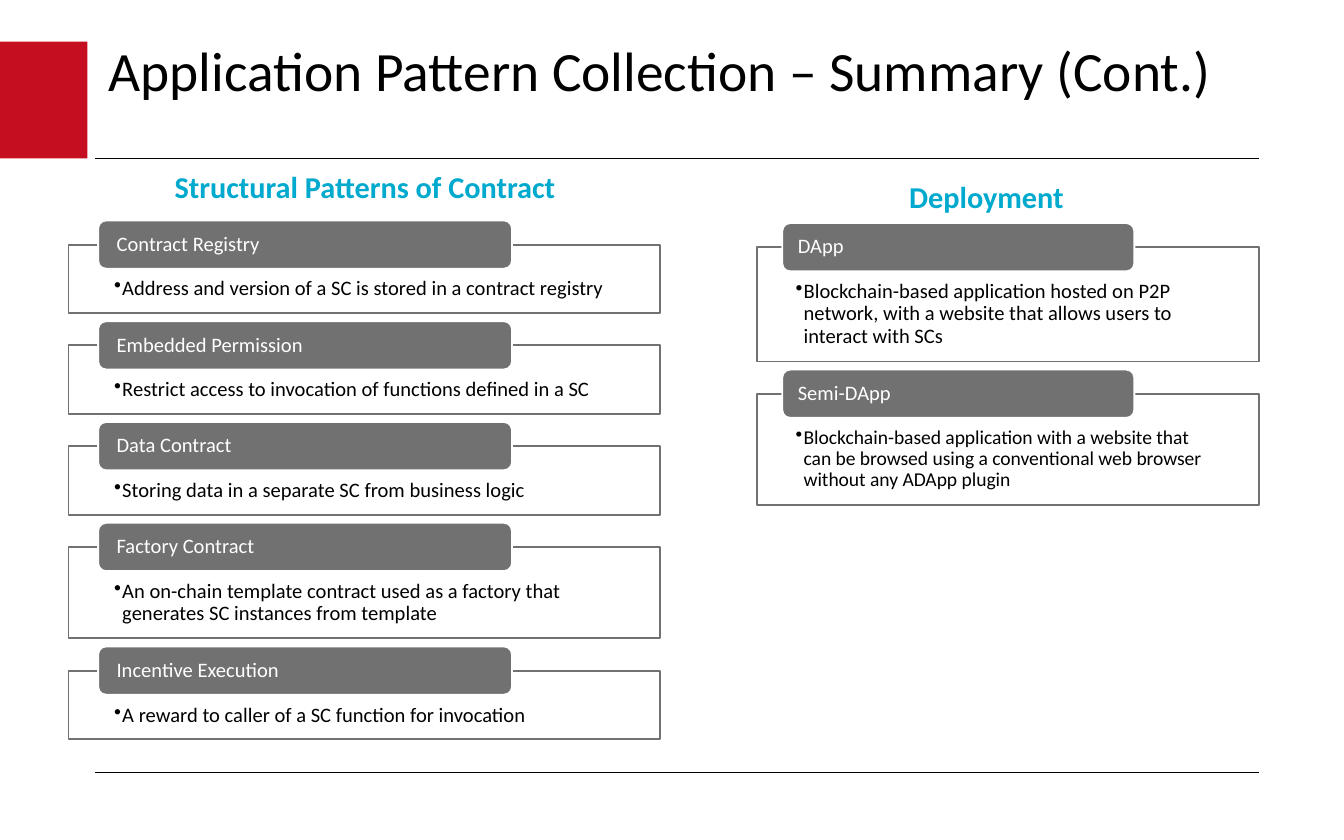
"""Build the summary slide of application patterns for smart contracts."""
from dataclasses import dataclass

from lxml.etree import SubElement
from pptx import Presentation
from pptx.dml.color import RGBColor
from pptx.enum.shapes import MSO_CONNECTOR, MSO_SHAPE
from pptx.enum.text import MSO_ANCHOR, PP_ALIGN
from pptx.oxml.ns import qn
from pptx.shapes.autoshape import Shape
from pptx.slide import Slide
from pptx.util import Inches, Pt

COLORS = {
    "accent": "C50E1F",
    "heading": "00A9CE",
    "label": "717171",
    "text": "000000",
    "white": "FFFFFF",
}
FONT = "Calibri"
CARD_GAP = 0.24
LABEL_HEIGHT = 0.36
LABEL_RISE = 0.18


@dataclass(frozen=True)
class Pattern:
    name: str
    summary: str
    height: float = 0.51
    size: float = 11


@dataclass(frozen=True)
class Column:
    heading: str
    heading_area: tuple[float, float, float, float]
    left: float
    top: float
    width: float
    label_left: float
    label_width: float
    label_inset: float
    summary_inset: float
    patterns: tuple[Pattern, ...]


COLUMNS = (
    Column(
        "Structural Patterns of Contract", (0.52, 1.2, 4.39, 0.37),
        0.51, 1.82, 4.4, 0.73, 3.08, 0.12, 0.34,
        (
            Pattern("Contract Registry",
                    "Address and version of a SC is stored in a contract registry"),
            Pattern("Embedded Permission",
                    "Restrict access to invocation of functions defined in a SC"),
            Pattern("Data Contract",
                    "Storing data in a separate SC from business logic"),
            Pattern("Factory Contract",
                    "An on-chain template contract used as a factory that "
                    "generates SC instances from template", 0.68),
            Pattern("Incentive Execution",
                    "A reward to caller of a SC function for invocation"),
        ),
    ),
    Column(
        "Deployment", (5.46, 1.28, 3.76, 0.37),
        5.63, 1.84, 3.74, 5.82, 2.62, 0.1, 0.29,
        (
            Pattern("DApp",
                    "Blockchain-based application hosted on P2P network, with a "
                    "website that allows users to interact with SCs", 0.85),
            Pattern("Semi-DApp",
                    "Blockchain-based application with a website that can be browsed "
                    "using a conventional web browser without any ADApp plugin",
                    0.83, 10.5),
        ),
    ),
)


def color(name: str) -> RGBColor:
    """Return the named colour."""
    return RGBColor.from_string(COLORS[name])


def write_text(box: Shape, text: str, size: float, color_name: str,
               anchor: MSO_ANCHOR = MSO_ANCHOR.TOP,
               align: PP_ALIGN = PP_ALIGN.LEFT,
               spacing: float = 0.9, bold: bool = False) -> None:
    """Write one styled paragraph into a box."""
    frame = box.text_frame
    frame.word_wrap = True
    frame.vertical_anchor = anchor
    para = frame.paragraphs[0]
    para.text = text
    para.alignment = align
    para.line_spacing = spacing
    para.font.name = FONT
    para.font.size = Pt(size)
    para.font.bold = bold
    para.font.color.rgb = color(color_name)


def set_insets(box: Shape, side: float, top: float, bottom: float) -> None:
    """Set the inner margins of a box in inches."""
    frame = box.text_frame
    frame.margin_left = frame.margin_right = Inches(side)
    frame.margin_top = Inches(top)
    frame.margin_bottom = Inches(bottom)


def add_text(page: Slide, area: tuple[float, float, float, float]) -> Shape:
    """Add an empty text box."""
    return page.shapes.add_textbox(*map(Inches, area))


def add_block(page: Slide, kind: MSO_SHAPE, area: tuple[float, float, float, float],
              fill: str, line: str | None = None) -> Shape:
    """Add a flat filled shape with an optional outline."""
    block = page.shapes.add_shape(kind, *map(Inches, area))
    block.shadow.inherit = False
    block.fill.solid()
    block.fill.fore_color.rgb = color(fill)
    if line:
        block.line.color.rgb = color(line)
        block.line.width = Pt(1)
    else:
        block.line.fill.background()
    return block


def add_rule(page: Slide, top: float) -> None:
    """Add a thin horizontal line across the page."""
    rule = page.shapes.add_connector(
        MSO_CONNECTOR.STRAIGHT, Inches(0.71), Inches(top), Inches(9.37), Inches(top))
    rule.line.color.rgb = color("text")
    rule.line.width = Pt(0.75)
    SubElement(rule._element.spPr, qn("a:effectLst"))


def add_bullet(box: Shape) -> None:
    """Give the first paragraph a hanging bullet."""
    properties = box.text_frame.paragraphs[0]._p.get_or_add_pPr()
    properties.set("marL", str(Inches(0.06)))
    properties.set("indent", str(Inches(-0.06)))
    SubElement(properties, qn("a:buChar"), char="•")
    defaults = properties.find(qn("a:defRPr"))
    if defaults is not None:
        properties.append(defaults)


def add_card(page: Slide, column: Column, pattern: Pattern, top: float) -> None:
    """Add a summary frame with its label on the upper edge."""
    frame = add_block(page, MSO_SHAPE.RECTANGLE,
                      (column.left, top, column.width, pattern.height),
                      "white", "label")
    fill_color = frame._element.spPr.find(qn("a:solidFill"))[0]
    SubElement(fill_color, qn("a:alpha"), val="90000")
    set_insets(frame, column.summary_inset, 0.25, 0.09)
    write_text(frame, pattern.summary, pattern.size, "text")
    add_bullet(frame)

    label = add_block(page, MSO_SHAPE.ROUNDED_RECTANGLE,
                      (column.label_left, top - LABEL_RISE,
                       column.label_width, LABEL_HEIGHT), "label", "white")
    set_insets(label, column.label_inset, 0, 0)
    write_text(label, pattern.name, 11, "white", MSO_ANCHOR.MIDDLE)


def add_column(page: Slide, column: Column) -> None:
    """Add a heading and its stack of cards."""
    top = column.top
    for pattern in column.patterns:
        add_card(page, column, pattern, top)
        top += pattern.height + CARD_GAP
    write_text(add_text(page, column.heading_area), column.heading, 16.2, "heading",
               align=PP_ALIGN.CENTER, spacing=1.0, bold=True)


def main() -> None:
    """Create and save the deck."""
    deck = Presentation()
    deck.slide_width, deck.slide_height = Inches(10), Inches(6.25)
    page = deck.slides.add_slide(deck.slide_layouts[6])
    add_block(page, MSO_SHAPE.RECTANGLE, (0, 0.31, 0.65, 0.87), "accent")
    for top in (1.18, 5.75):
        add_rule(page, top)
    write_text(add_text(page, (0.71, 0.31, 8.51, 0.48)),
               "Application Pattern Collection – Summary (Cont.)", 29.7, "text",
               MSO_ANCHOR.MIDDLE)
    for column in COLUMNS:
        add_column(page, column)
    deck.save("out.pptx")


if __name__ == "__main__":
    main()
